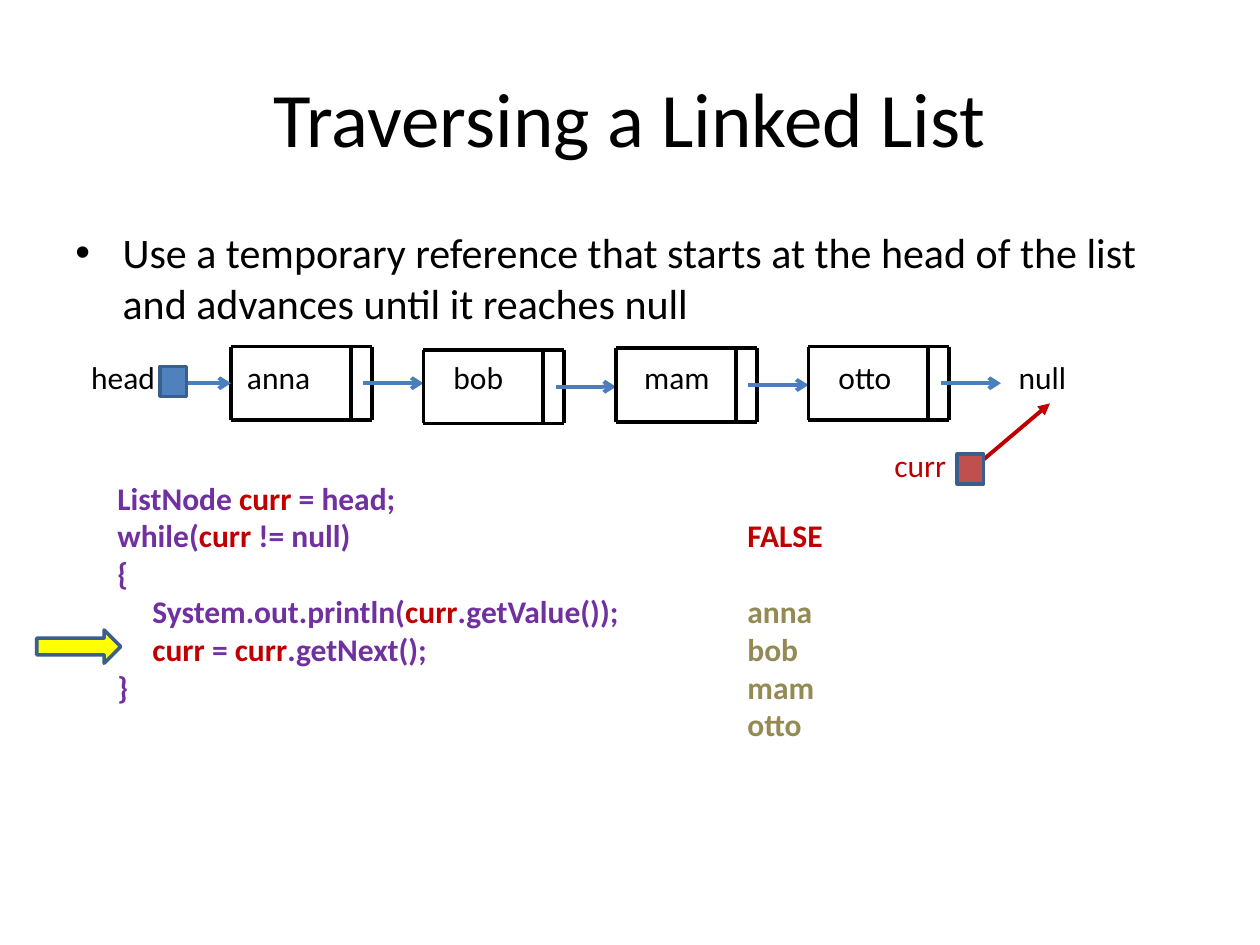
"""Build a slide that shows the end of a linked list traversal."""
from lxml import etree
from pptx import Presentation
from pptx.dml.color import RGBColor
from pptx.enum.shapes import MSO_CONNECTOR, MSO_SHAPE
from pptx.enum.text import MSO_ANCHOR, PP_ALIGN
from pptx.oxml.ns import qn
from pptx.util import Pt

BLACK = RGBColor(0x00, 0x00, 0x00)
RED = RGBColor(0xC0, 0x00, 0x00)
PURPLE = RGBColor(0x70, 0x30, 0xA0)
OLIVE = RGBColor(0x94, 0x8A, 0x54)
LINK_BLUE = RGBColor(0x4B, 0x7E, 0xBC)
OUTLINE = RGBColor(0x3A, 0x5F, 0x8C)
HEAD_FILL = RGBColor(0x4F, 0x81, 0xBD)
CURR_FILL = RGBColor(0xC0, 0x50, 0x4D)
YELLOW = RGBColor(0xFF, 0xFF, 0x00)

NODE_PITCH = 110
LINK_LENGTH = 34.5


def add_runs(paragraph, runs, size, bold=False):
    for text, color in runs:
        run = paragraph.add_run()
        run.text = text
        run.font.name = "Calibri"
        run.font.size = Pt(size)
        run.font.bold = bold
        run.font.color.rgb = color


def add_text(slide, left, top, width, height):
    box = slide.shapes.add_textbox(Pt(left), Pt(top), Pt(width), Pt(height))
    box.text_frame.word_wrap = True
    return box.text_frame


def set_tabs(paragraph, stops):
    tab_list = etree.SubElement(paragraph._p.get_or_add_pPr(), qn("a:tabLst"))
    for stop in stops:
        etree.SubElement(tab_list, qn("a:tab"), pos=str(Pt(stop)), algn="l")


def add_line(slide, x1, y1, x2, y2, color=BLACK, arrowhead=None):
    line = slide.shapes.add_connector(
        MSO_CONNECTOR.STRAIGHT, Pt(x1), Pt(y1), Pt(x2), Pt(y2))
    line.line.color.rgb = color
    line.line.width = Pt(2.25)
    if arrowhead:
        etree.SubElement(line.line._get_or_add_ln(), qn("a:tailEnd"), type=arrowhead)
    etree.SubElement(line._element.spPr, qn("a:effectLst"))


def add_block(slide, kind, left, top, width, height, fill):
    shape = slide.shapes.add_shape(kind, Pt(left), Pt(top), Pt(width), Pt(height))
    shape.shadow.inherit = False
    shape.fill.solid()
    shape.fill.fore_color.rgb = fill
    shape.line.color.rgb = OUTLINE
    shape.line.width = Pt(2)


def add_title(slide, left, top, width, height):
    title = slide.shapes.title
    title.left, title.top, title.width, title.height = map(Pt, (left, top, width, height))
    title.text_frame.vertical_anchor = MSO_ANCHOR.MIDDLE
    paragraph = title.text_frame.paragraphs[0]
    paragraph.alignment = PP_ALIGN.CENTER
    add_runs(paragraph, [("Traversing a Linked List", BLACK)], 44)


def add_bullet(slide, left, top, width, height):
    paragraph = add_text(slide, left, top, width, height).paragraphs[0]
    paragraph.space_before = Pt(5)
    properties = paragraph._p.get_or_add_pPr()
    properties.set("marL", str(Pt(27)))
    properties.set("indent", str(-Pt(27)))
    etree.SubElement(properties, qn("a:buFont"), typeface="Arial")
    etree.SubElement(properties, qn("a:buChar"), char="•")
    add_runs(paragraph, [("Use a temporary reference that starts at the head of the list "
                          "and advances until it reaches null", BLACK)], 24)


def add_link(slide, left, middle):
    add_line(slide, left, middle, left + LINK_LENGTH, middle, LINK_BLUE, "arrow")


def add_node(slide, left, top, width=80.5, height=42):
    right, bottom = left + width, top + height
    for y in (top, bottom):
        add_line(slide, left, y, right, y)
    for x in (left, right - 12, right):
        add_line(slide, x, top, x, bottom)
    add_link(slide, left + NODE_PITCH - LINK_LENGTH, top + height / 2)


def add_linked_list(slide, left, top):
    for index, drop in enumerate((0, 2, 1, 0)):
        add_node(slide, left + 87 + index * NODE_PITCH, top - 3 + drop)
    add_link(slide, left + 87 - LINK_LENGTH, top + 18)
    labels = add_text(slide, left, top, 597, 29).paragraphs[0]
    set_tabs(labels, (89, 207, 316, 427, 530))
    add_runs(labels, [("head\tanna\tbob\tmam\totto\tnull", BLACK)], 18)
    add_block(slide, MSO_SHAPE.RECTANGLE, left + 46.5, top + 8.5, 15, 17, HEAD_FILL)


def add_curr_pointer(slide, left, top):
    label = add_text(slide, left, top, 60, 29).paragraphs[0]
    add_runs(label, [("curr", RED)], 18)
    add_line(slide, left + 54, top + 14.5, left + 96, top - 21, RED, "triangle")
    add_block(slide, MSO_SHAPE.RECTANGLE, left + 43, top + 8, 15, 17, CURR_FILL)


def add_code(slide, left, top, width, height):
    indent, output = 20, 360
    lines = [
        [("ListNode ", PURPLE), ("curr", RED), (" = head;", PURPLE)],
        [("while(", PURPLE), ("curr ", RED), ("!= null)", PURPLE), ("\tFALSE", RED)],
        [("{", PURPLE)],
        [("\tSystem.out.println(", PURPLE), ("curr", RED),
         (".getValue());", PURPLE), ("\tanna", OLIVE)],
        [("\tcurr", RED), (" = ", PURPLE), ("curr", RED),
         (".getNext();", PURPLE), ("\tbob", OLIVE)],
        [("}", PURPLE), ("\tmam", OLIVE)],
        [("\totto", OLIVE)],
    ]
    frame = add_text(slide, left, top, width, height)
    for number, runs in enumerate(lines):
        paragraph = frame.add_paragraph() if number else frame.paragraphs[0]
        is_indented = runs[0][0].startswith("\t") and len(runs) > 1
        set_tabs(paragraph, (indent, output) if is_indented else (output,))
        add_runs(paragraph, runs, 18, bold=True)
    add_block(slide, MSO_SHAPE.RIGHT_ARROW, left - 39, top + 90, 48, 19, YELLOW)


def main():
    deck = Presentation()
    deck.slide_width, deck.slide_height = Pt(720), Pt(540)
    slide = deck.slides.add_slide(deck.slide_layouts[5])
    add_title(slide, 36, 21.6, 648, 90)
    add_bullet(slide, 36, 126, 648, 66)
    add_linked_list(slide, 45, 201)
    add_curr_pointer(slide, 504, 251.5)
    add_code(slide, 60, 270, 624, 160)
    deck.save("out.pptx")


main()
